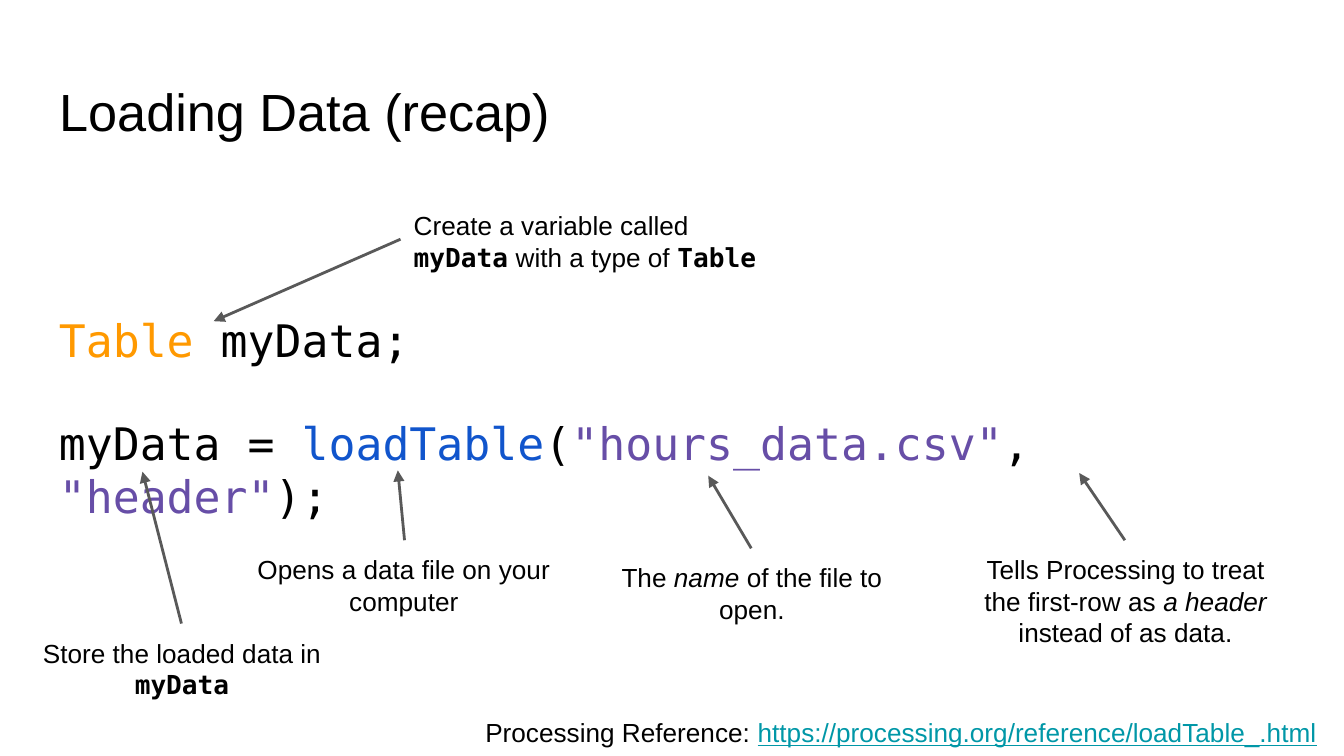
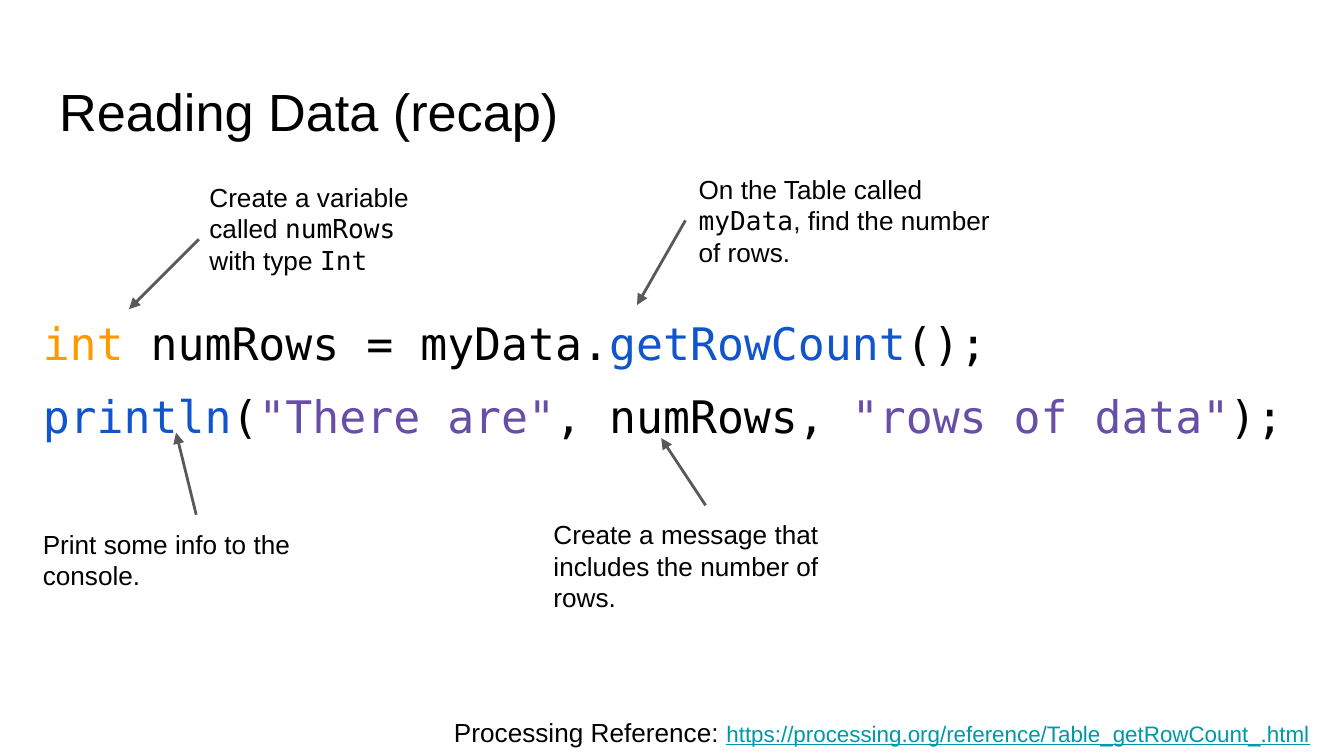
from dataclasses import dataclass

from lxml import etree
from pptx import Presentation
from pptx.dml.color import RGBColor
from pptx.enum.shapes import MSO_CONNECTOR
from pptx.enum.text import MSO_ANCHOR, MSO_AUTO_SIZE, PP_ALIGN
from pptx.oxml.ns import qn
from pptx.util import Inches, Pt

LEFT, CENTER, RIGHT = PP_ALIGN.LEFT, PP_ALIGN.CENTER, PP_ALIGN.RIGHT
TOP, MIDDLE = MSO_ANCHOR.TOP, MSO_ANCHOR.MIDDLE
STRAIGHT = MSO_CONNECTOR.STRAIGHT


@dataclass(frozen=True)
class Theme:
    sans: str = "Arial"
    mono: str = "DejaVu Sans Mono"
    text: str = "000000"
    type_name: str = "FF9900"
    function: str = "1155CC"
    string: str = "674EA7"
    link: str = "0097A7"
    arrow: str = "595959"
    title_size: int = 28
    code_size: int = 24
    note_size: int = 14
    arrow_width: float = 1.5
    gap: int = 10
    inset: float = 0.1


THEME = Theme()

# Span styles: only what differs from plain black Arial
STYLES = {
    "plain": {},
    "italic": {"italic": True},
    "mono": {"name": THEME.mono},
    "bold mono": {"name": THEME.mono, "bold": True},
    "type": {"name": THEME.mono, "color": THEME.type_name},
    "function": {"name": THEME.mono, "color": THEME.function},
    "string": {"name": THEME.mono, "color": THEME.string},
    "link": {"color": THEME.link, "underline": True},
}

TITLE_AT = (0.34, 0.49, 9.32, 0.63)
REFERENCE_AT = (3.25, 5.23, 6.7, 0.52)

# code: (place, anchor, lines); notes: (place, alignment, spans, arrow from, arrow to)
SLIDES = [
    {
        "title": "Loading Data (recap)",
        "code": [
            ((0.34, 2.23, 3.23, 0.63), TOP, [
                [("Table ", "type"), ("myData;", "mono")],
            ]),
            ((0.34, 2.99, 9.47, 0.97), TOP, [
                [("myData = ", "mono"), ("loadTable", "function"), ("(", "mono"),
                 ('"hours_data.csv"', "string"), (", ", "mono"),
                 ('"header"', "string"), (");", "mono")],
            ]),
        ],
        "notes": [
            ((2.98, 1.46, 2.97, 0.63), LEFT,
             [("Create a variable called ", "plain"), ("myData", "bold mono"),
              (" with a type of ", "plain"), ("Table", "bold mono")],
             (2.98, 1.78), (1.59, 2.39)),
            ((1.77, 4.02, 2.47, 0.68), CENTER,
             [("Opens a data file on your computer", "plain")],
             (3.01, 4.02), (2.96, 3.5)),
            ((4.36, 4.08, 2.47, 0.68), CENTER,
             [("The ", "plain"), ("name", "italic"), (" of the file to open.", "plain")],
             (5.59, 4.08), (5.27, 3.54)),
            ((7.14, 4.02, 2.47, 0.89), CENTER,
             [("Tells Processing to treat the first-row as ", "plain"),
              ("a header", "italic"), (" instead of as data.", "plain")],
             (8.37, 4.02), (8.03, 3.52)),
            ((0.12, 4.64, 2.47, 0.68), CENTER,
             [("Store the loaded data in ", "plain"), ("myData", "bold mono")],
             (1.35, 4.64), (1.06, 3.51)),
        ],
        "link": "https://processing.org/reference/loadTable_.html",
        "link_size": 14,
        "link_margin": 0.15,
    },
    {
        "title": "Reading Data (recap)",
        "code": [
            ((0.22, 2.27, 9.56, 1.1), MIDDLE, [
                [("int ", "type"), ("numRows = myData.", "mono"),
                 ("getRowCount", "function"), ("();", "mono")],
                [("println", "function"), ("(", "mono"), ('"There are"', "string"),
                 (", numRows, ", "mono"), ('"rows of data"', "string"), (");", "mono")],
            ]),
        ],
        "notes": [
            ((4.02, 3.76, 2.47, 0.89), LEFT,
             [("Create a message that includes the number of rows.", "plain")],
             (5.25, 3.76), (4.92, 3.26)),
            ((0.22, 3.83, 2.47, 0.89), LEFT,
             [("Print some info to the console.", "plain")],
             (1.46, 3.83), (1.31, 3.22)),
            ((1.46, 1.25, 1.74, 0.63), LEFT,
             [("Create a variable called ", "plain"), ("numRows ", "mono"),
              ("with type ", "plain"), ("Int", "mono")],
             (1.48, 1.78), (0.96, 2.3)),
            ((5.1, 1.19, 2.47, 0.89), LEFT,
             [("On the Table called ", "plain"), ("myData", "mono"),
              (", find the number of rows.", "plain")],
             (5.1, 1.64), (4.74, 2.27)),
        ],
        "link": "https://processing.org/reference/Table_getRowCount_.html",
        "link_size": 12,
        "link_margin": 0.2,
    },
]


def add_span(para, text, style, size):
    span = para.add_run()
    span.text = text
    look = STYLES[style]
    font = span.font
    font.size = Pt(size)
    font.name = look.get("name", THEME.sans)
    font.color.rgb = RGBColor.from_string(look.get("color", THEME.text))
    font.bold = look.get("bold", False)
    font.italic = look.get("italic", False)
    font.underline = look.get("underline", False)


def fill_box(box, lines, size, align=LEFT, anchor=TOP, gap=THEME.gap):
    """Write one paragraph per line, each a list of (text, style) spans."""
    frame = box.text_frame
    frame.word_wrap = True
    frame.auto_size = MSO_AUTO_SIZE.NONE
    frame.vertical_anchor = anchor
    frame.margin_left = frame.margin_right = Inches(THEME.inset)
    frame.margin_top = frame.margin_bottom = Inches(THEME.inset)
    for index, spans in enumerate(lines):
        para = frame.add_paragraph() if index else frame.paragraphs[0]
        para.alignment = align
        para.space_before = Pt(gap if index else 0)
        para.space_after = Pt(gap if index == len(lines) - 1 else 0)
        for text, style in spans:
            add_span(para, text, style, size)
    return frame


def add_box(page, place):
    return page.shapes.add_textbox(*map(Inches, place))


def add_title(page, text):
    title = page.shapes.title
    title.left, title.top, title.width, title.height = map(Inches, TITLE_AT)
    fill_box(title, [[(text, "plain")]], THEME.title_size, gap=0)


def add_arrow(page, start, end):
    arrow = page.shapes.add_connector(STRAIGHT, *map(Inches, start + end))
    arrow.line.color.rgb = RGBColor.from_string(THEME.arrow)
    arrow.line.width = Pt(THEME.arrow_width)
    line = arrow.line._get_or_add_ln()
    etree.SubElement(line, qn("a:tailEnd"), type="triangle")
    etree.SubElement(line.getparent(), qn("a:effectLst"))


def add_reference(page, link, size, margin):
    frame = fill_box(add_box(page, REFERENCE_AT), [[("Processing Reference: ", "plain")]],
                     THEME.note_size, align=RIGHT, gap=0)
    frame.margin_right = Inches(margin)
    add_span(frame.paragraphs[0], link, "link", size)


def main():
    deck = Presentation()
    deck.slide_width = Inches(10)
    deck.slide_height = deck.slide_width * 9 // 16
    title_only = deck.slide_layouts.get_by_name("Title Only")
    for content in SLIDES:
        page = deck.slides.add_slide(title_only)
        add_title(page, content["title"])
        for place, anchor, lines in content["code"]:
            fill_box(add_box(page, place), lines, THEME.code_size, anchor=anchor)
        for place, align, spans, start, end in content["notes"]:
            fill_box(add_box(page, place), [spans], THEME.note_size, align)
            add_arrow(page, start, end)
        add_reference(page, content["link"], content["link_size"], content["link_margin"])
    deck.save("out.pptx")


if __name__ == "__main__":
    main()
